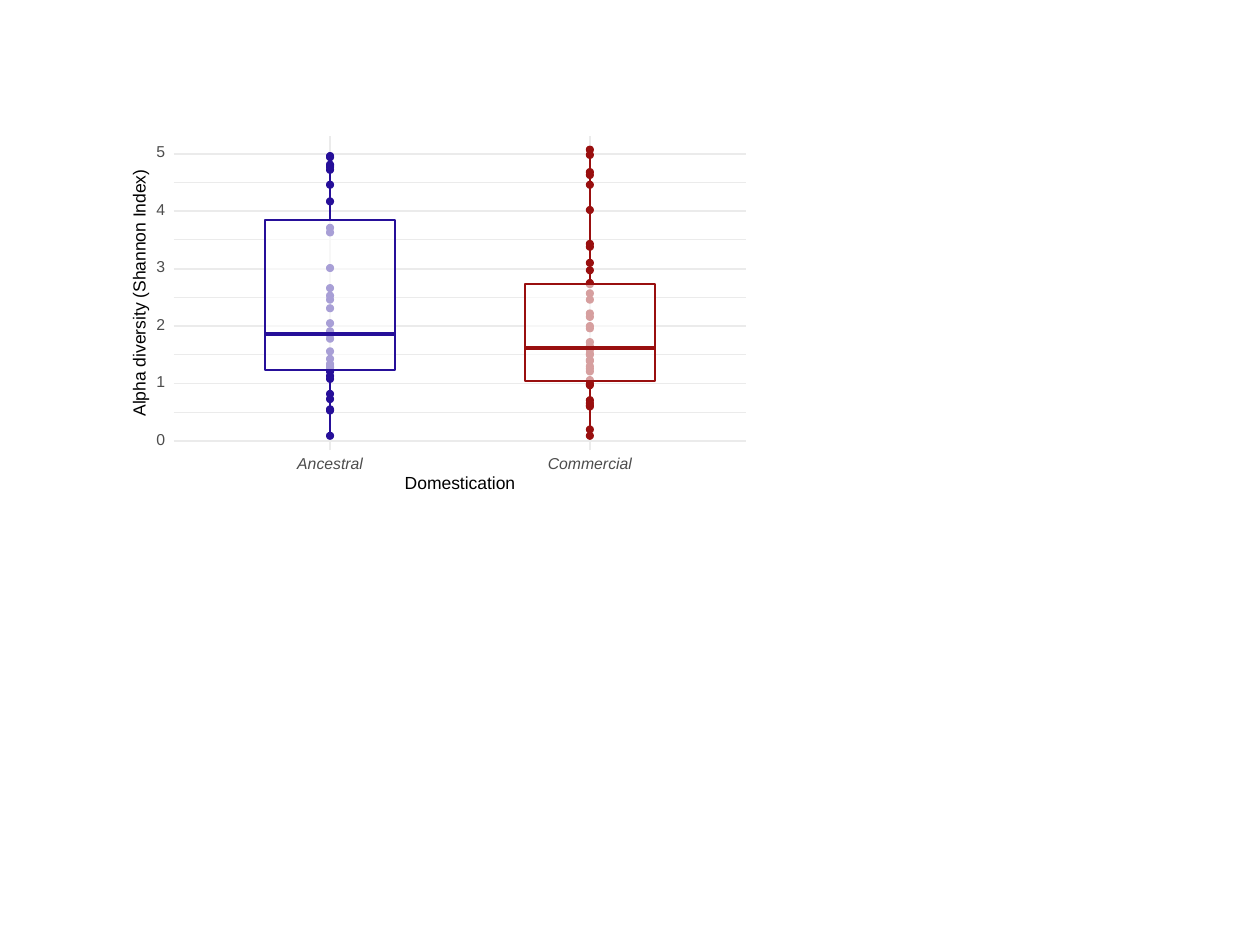
from lxml.etree import SubElement
from pptx import Presentation
from pptx.dml.color import RGBColor
from pptx.enum.shapes import MSO_CONNECTOR, MSO_SHAPE
from pptx.enum.text import MSO_ANCHOR, PP_ALIGN
from pptx.oxml.ns import qn
from pptx.util import Pt

WHITE = RGBColor(0xFF, 0xFF, 0xFF)
BLACK = RGBColor(0, 0, 0)
GREY = RGBColor(0x4D, 0x4D, 0x4D)
PALE = RGBColor(0xEB, 0xEB, 0xEB)
BLUE = RGBColor(0x26, 0x0F, 0x99)
RED = RGBColor(0x99, 0x0F, 0x0F)

LEFT, RIGHT, TOP, BASE = 99.4, 426.3, 77.5, 257.3
ZERO, UNIT = 252, 32.83
DOT, WIDE = 3.9, 74.4

ANCIENT = [4.96, 4.94, 4.81, 4.79, 4.77, 4.72, 4.46, 4.17, 3.71, 3.63, 3.01, 2.66,
           2.53, 2.46, 2.31, 2.05, 1.91, 1.87, 1.85, 1.78, 1.56, 1.43, 1.34, 1.30,
           1.28, 1.23, 1.21, 1.13, 1.08, 0.82, 0.73, 0.55, 0.53, 0.09]
MODERN = [5.07, 4.98, 4.68, 4.63, 4.46, 4.02, 3.43, 3.38, 3.10, 2.97, 2.75, 2.73,
          2.57, 2.46, 2.22, 2.16, 2.00, 1.96, 1.72, 1.65, 1.63, 1.61, 1.59, 1.52,
          1.50, 1.41, 1.39, 1.30, 1.26, 1.21, 1.06, 1.04, 0.99, 0.97, 0.71, 0.66,
          0.62, 0.60, 0.20, 0.09]
GROUPS = [
    ("Ancestral", 188.6, 267.7, BLUE, ANCIENT, (1.23, 1.86, 3.84)),
    ("Commercial", 337.1, 265.5, RED, MODERN, (1.05, 1.62, 2.74)),
]


def level(value):
    """Return the height on the slide of an index value."""
    return ZERO - UNIT * value


def add_line(slide, x1, y1, x2, y2, color, width):
    """Draw a straight line without shadow."""
    line = slide.shapes.add_connector(
        MSO_CONNECTOR.STRAIGHT, Pt(x1), Pt(y1), Pt(x2), Pt(y2))
    line.line.color.rgb = color
    line.line.width = Pt(width)
    SubElement(line._element.spPr, qn("a:effectLst"))
    return line


def add_shape(slide, kind, x, y, wide, high, fill, color, width):
    """Draw a filled and outlined preset shape."""
    shape = slide.shapes.add_shape(kind, Pt(x), Pt(y), Pt(wide), Pt(high))
    shape.shadow.inherit = False
    shape.fill.solid()
    shape.fill.fore_color.rgb = fill
    shape.line.color.rgb = color
    shape.line.width = Pt(width)
    return shape


def add_text(slide, words, x, y, wide, size, color, slant=False, turn=0):
    """Write one centred label around the point x, y."""
    box = slide.shapes.add_textbox(
        Pt(x - wide / 2), Pt(y - size / 2), Pt(wide), Pt(size))
    box.rotation = turn
    frame = box.text_frame
    frame.margin_left = frame.margin_right = 0
    frame.margin_top = frame.margin_bottom = 0
    frame.word_wrap = False
    frame.vertical_anchor = MSO_ANCHOR.MIDDLE
    frame.text = words
    para = frame.paragraphs[0]
    para.alignment = PP_ALIGN.CENTER
    para.line_spacing = Pt(size)
    font = para.runs[0].font
    font.name = "Arial"
    font.size = Pt(size)
    font.italic = slant
    font.color.rgb = color


def add_grid(slide):
    """Draw the minor, major and upright grid lines."""
    for step in range(5):
        high = level(step + 0.5)
        add_line(slide, LEFT, high, RIGHT, high, PALE, 0.53)
    for step in range(6):
        high = level(step)
        add_line(slide, LEFT, high, RIGHT, high, PALE, 1.07)
    for group in GROUPS:
        add_line(slide, group[1], BASE, group[1], TOP, PALE, 1.07)


def add_dots(slide, mid, color, values):
    """Draw one dot for each value."""
    for value in values:
        add_shape(slide, MSO_SHAPE.OVAL, mid - DOT / 2, level(value) - DOT / 2,
                  DOT, DOT, color, color, 0.71)


def add_box(slide, mid, color, values, parts):
    """Draw a see-through box with its whiskers and median."""
    low, half, high = parts
    box = add_shape(slide, MSO_SHAPE.RECTANGLE, mid - WIDE / 2, level(high),
                    WIDE, UNIT * (high - low), WHITE, color, 1.07)
    tint = box._element.spPr.find(qn("a:solidFill"))[0]
    SubElement(tint, qn("a:alpha"), val="60000")
    for side, start, end in ((0, high, max(values)), (2, low, min(values))):
        line = add_line(slide, mid, level(start), mid, level(end), color, 1.07)
        line.begin_connect(box, side)
    add_line(slide, mid - WIDE / 2, level(half), mid + WIDE / 2, level(half),
             color, 2.13)


def main():
    """Build the slide and save it."""
    deck = Presentation()
    deck.slide_width, deck.slide_height = Pt(720), Pt(540)
    slide = deck.slides.add_slide(deck.slide_layouts[6])
    add_shape(slide, MSO_SHAPE.RECTANGLE, 72, 72, 360, 216, WHITE, WHITE, 0.75)
    add_grid(slide)
    for name, mid, base, color, values, parts in GROUPS:
        add_dots(slide, mid, color, values)
    for name, mid, base, color, values, parts in GROUPS:
        add_box(slide, mid, color, values, parts)
    for (name, mid, base, *rest), wide in zip(GROUPS, (37.5, 48)):
        add_text(slide, name, mid, base - 2.2 if base > 266 else base, wide,
                 9, GREY, True)
    for step in range(6):
        add_text(slide, str(step), 91.8, level(step) - 0.3, 5, 9, GREY)
    add_text(slide, "Domestication", 262.8, 276.5, 63.4, 10, BLACK)
    add_text(slide, "Alpha diversity (Shannon Index)", 80.3, 167.4, 141.8, 10,
             BLACK, turn=270)
    deck.save("out.pptx")


if __name__ == "__main__":
    main()
